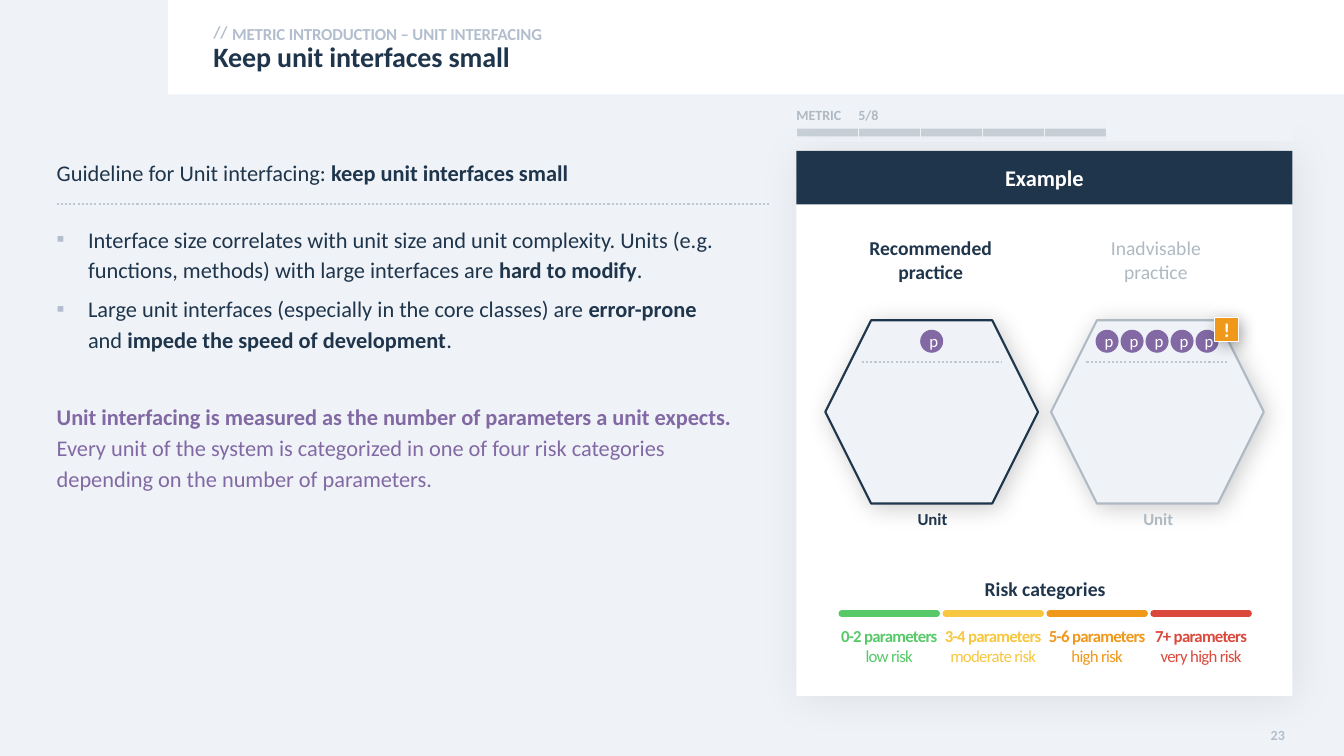
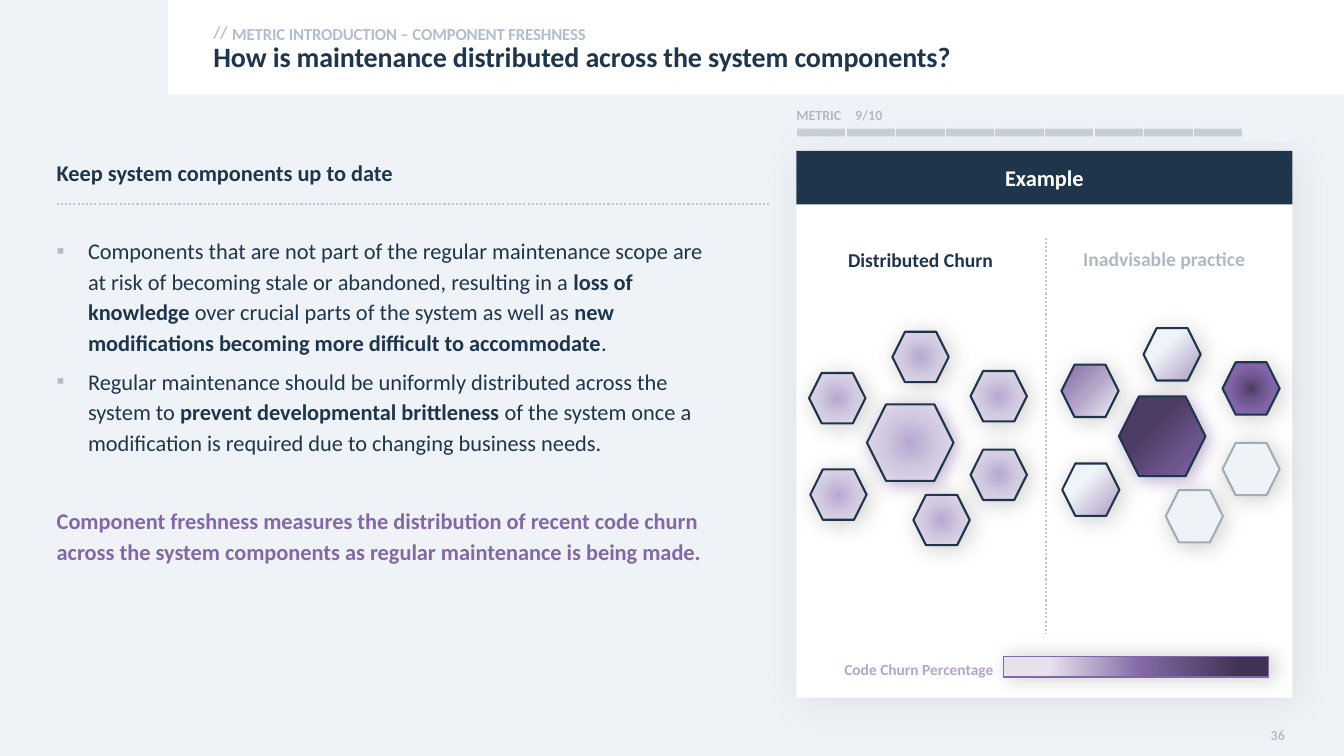
from pptx import Presentation
from pptx.dml.color import RGBColor
from pptx.enum.dml import MSO_LINE
from pptx.enum.shapes import MSO_CONNECTOR, MSO_SHAPE
from pptx.enum.text import MSO_ANCHOR, PP_ALIGN
from pptx.oxml import parse_xml
from pptx.oxml.ns import nsdecls
from pptx.oxml.xmlchemy import OxmlElement
from pptx.util import Cm, Pt

# Shared style
FONT = "Calibri"
NAVY, WHITE, PALE = "1F354B", "FFFFFF", "EFF3F8"
MUTED, EYEBROW, DOTS, BULLET = "AFB9C2", "B2BECD", "C0C7CF", "B3BDCD"
PURPLE, LILAC, ORANGE = "8269A4", "B4A5C8", "EF981A"
CARD_LEFT, CARD_WIDTH, CARD_TOP, CARD_HEIGHT = 20.07, 12.5, 3.8, 13.74

# Shadows: colour, opacity %, blur pt, distance pt, angle
CARD_SHADOW = ("000000", 7, 30, 3, 45)
UNIT_SHADOW = ("000000", 20, 17, 3, 45)
CORE_SHADOW = (PURPLE, 55, 13, 3, 45)
ALERT_SHADOW = ("000000", 30, 11, 3, 45)
LEGEND_SHADOW = ("000000", 22, 15, 3, 0)

# Gradients: stops, angle (None for circular)
EVEN_CHURN = ([(0, "B7A8D1"), (50, "D2CAE1"), (100, "E9E5F0")], None)
HIGH_CHURN = ([(0, "4D3C64"), (30, "6D558E"), (58, "8165A8")], None)
MEDIUM_CHURN = ([(0, PURPLE), (50, LILAC), (100, "EFF4F9")], 45)
CORE_CHURN = ([(38, "4D3C64"), (75, "6D558E"), (100, "8165A8")], 45)
LOW_CHURN = ([(0, "4D3C64"), (8, LILAC), (64, "EFF4F9")], 225)
CHURN_SCALE = ([(11, "413354"), (48, PURPLE), (83, "E6E1ED")], 180)


def rgb(value):
    return RGBColor.from_string(value)


def format_run(run, size, color, bold=False, spacing=0):
    run.font.name, run.font.size, run.font.bold = FONT, Pt(size), bold
    run.font.color.rgb = rgb(color)
    if spacing:
        run.font._element.set("spc", str(round(spacing * 100)))


def write(frame, text, size, color, bold=False, align=PP_ALIGN.LEFT,
          anchor=MSO_ANCHOR.TOP, left_inset=0, wrap=True, spacing=0, leading=1.0):
    frame.text = text
    frame.word_wrap, frame.vertical_anchor = wrap, anchor
    frame.margin_left = Cm(left_inset)
    frame.margin_right = frame.margin_top = frame.margin_bottom = 0
    for paragraph in frame.paragraphs:
        paragraph.alignment, paragraph.line_spacing = align, leading
        for run in paragraph.runs:
            format_run(run, size, color, bold, spacing)


def add_text(slide, box, text, size, color, **style):
    label = slide.shapes.add_textbox(*map(Cm, box))
    write(label.text_frame, text, size, color, **style)
    return label.text_frame


def set_gradient(shape, stops, angle):
    stop_xml = "".join(f'<a:gs pos="{pos * 1000}"><a:srgbClr val="{color}"/></a:gs>'
                       for pos, color in stops)
    if angle is None:
        direction = ('<a:path path="circle"><a:fillToRect l="50000" t="50000" '
                     'r="50000" b="50000"/></a:path>')
    else:
        direction = f'<a:lin ang="{angle * 60000}" scaled="0"/>'
    shape.fill.background()
    no_fill = shape._element.spPr.find("{*}noFill")
    no_fill.getparent().replace(no_fill, parse_xml(
        f'<a:gradFill {nsdecls("a")} rotWithShape="1"><a:gsLst>{stop_xml}</a:gsLst>'
        f'{direction}</a:gradFill>'))


def add_shape(slide, kind, box, fill, line=None, line_width=1.5, shadow=None, alpha=None):
    """Fill is a hex colour or a gradient (stops, angle)."""
    shape = slide.shapes.add_shape(kind, *map(Cm, box))
    if isinstance(fill, str):
        shape.fill.solid()
        shape.fill.fore_color.rgb = rgb(fill)
        if alpha:
            fill_color = shape._element.spPr.find("{*}solidFill")[0]
            fill_color.append(parse_xml(f'<a:alpha {nsdecls("a")} val="{alpha * 1000}"/>'))
    else:
        set_gradient(shape, *fill)
    if line:
        shape.line.color.rgb = rgb(line)
        shape.line.width = Pt(line_width)
    else:
        shape.line.fill.background()
    shape.shadow.inherit = False
    if shadow:
        color, opacity, blur, distance, angle = shadow
        shape._element.spPr.find("{*}effectLst").append(parse_xml(
            f'<a:outerShdw {nsdecls("a")} blurRad="{Pt(blur)}" dist="{Pt(distance)}" '
            f'dir="{angle * 60000}" algn="ctr" rotWithShape="0"><a:srgbClr val="{color}">'
            f'<a:alpha val="{opacity * 1000}"/></a:srgbClr></a:outerShdw>'))
    return shape


def add_line(slide, start, end, color=DOTS, width=1.5, dotted=True):
    rule = slide.shapes.add_connector(MSO_CONNECTOR.STRAIGHT, *map(Cm, start + end))
    rule.line.color.rgb = rgb(color)
    rule.line.width = Pt(width)
    if dotted:
        rule.line.dash_style = MSO_LINE.ROUND_DOT
    else:
        rule.line._ln.set("cap", "rnd")
    rule._element.spPr.append(OxmlElement("a:effectLst"))


def add_body(slide, width, paragraphs):
    """Each paragraph: text with **bold** parts, colour, bulleted, space after."""
    frame = add_text(slide, (1.43, 3.91, width, 13.5), "", 16, NAVY)
    for index, (text, color, bulleted, space_after) in enumerate(paragraphs):
        paragraph = frame.add_paragraph() if index else frame.paragraphs[0]
        paragraph.line_spacing, paragraph.space_after = 1.14, Pt(space_after)
        if bulleted:
            props = paragraph._p.get_or_add_pPr()
            props.set("marL", str(Cm(0.79)))
            props.set("indent", str(-Cm(0.79)))
            for bullet_part in (f'<a:buClr {nsdecls("a")}><a:srgbClr val="{BULLET}"/></a:buClr>',
                                f'<a:buFont {nsdecls("a")} typeface="{FONT}"/>',
                                f'<a:buChar {nsdecls("a")} char="▪"/>'):
                props.append(parse_xml(bullet_part))
        for part, words in enumerate(text.split("**")):
            if words:
                run = paragraph.add_run()
                run.text = words
                format_run(run, 16, color, bold=part % 2 == 1)


def style_step(cell, fill):
    cell.margin_left = cell.margin_right = cell.margin_top = cell.margin_bottom = 0
    if fill:
        cell.fill.solid()
        cell.fill.fore_color.rgb = rgb(fill)
    else:
        cell.fill.background()
    for position, edge in enumerate("LRTB"):
        cell._tc.get_or_add_tcPr().insert(position, parse_xml(
            f'<a:ln{edge} {nsdecls("a")} w="12700"><a:solidFill><a:srgbClr val="{PALE}"/>'
            f'</a:solidFill></a:ln{edge}>'))
    end_style = OxmlElement("a:endParaRPr")
    end_style.set("sz", "1000")
    cell.text_frame.paragraphs[0]._p.append(end_style)


def add_progress(slide, done, total, rows=1, count_inset=0):
    add_shape(slide, MSO_SHAPE.RECTANGLE, (CARD_LEFT, 3.24, CARD_WIDTH, 0.2), MUTED, alpha=60)
    table = slide.shapes.add_table(rows, total, *map(Cm, (CARD_LEFT, 2.71, CARD_WIDTH, 0.84))).table
    table.first_row = table.horz_banding = False
    for step in range(total):
        table.columns[step].width = Cm(CARD_WIDTH / total)
        for row in range(rows):
            covers_bar = row == rows - 1 and step >= done
            style_step(table.cell(row, step), PALE if covers_bar else None)
    for step, text in enumerate(["METRIC", f"{done}/{total}"]):
        label = table.cell(0, step).text_frame.paragraphs[0]
        label.text = text
        format_run(label.runs[0], 10, MUTED, bold=True)
    table.cell(0, 1).margin_left = Cm(count_inset)
    if rows > 1:
        table.cell(0, 1).merge(table.cell(0, 2))


def add_frame(prs, topic, title, page, card_top=CARD_TOP):
    """Background, title band, example card and page number."""
    slide = prs.slides.add_slide(prs.slide_layouts[6])
    slide.background.fill.solid()
    slide.background.fill.fore_color.rgb = rgb(PALE)
    add_shape(slide, MSO_SHAPE.RECTANGLE, (4.24, 0, 29.63, 2.38), WHITE)
    add_text(slide, (5.38, 0.41, 0.5, 0.76), "//", 12, EYEBROW, bold=True,
             anchor=MSO_ANCHOR.MIDDLE, wrap=False, spacing=-0.1)
    add_text(slide, (5.85, 0.53, 26.77, 0.61), f"METRIC INTRODUCTION – {topic}", 12, EYEBROW,
             bold=True, spacing=-0.1, leading=1.14)
    add_text(slide, (5.38, 1.09, 27.25, 0.79), title, 20, NAVY, bold=True,
             spacing=-0.1, leading=0.9)
    add_shape(slide, MSO_SHAPE.RECTANGLE, (CARD_LEFT, card_top, CARD_WIDTH, CARD_HEIGHT),
              WHITE, shadow=CARD_SHADOW)
    header = add_shape(slide, MSO_SHAPE.RECTANGLE, (CARD_LEFT, CARD_TOP, CARD_WIDTH, 1.35), NAVY)
    write(header.text_frame, "Example", 16, WHITE, bold=True, align=PP_ALIGN.CENTER,
          anchor=MSO_ANCHOR.MIDDLE)
    add_line(slide, (19.39, 5.15), (1.43, 5.15))
    add_text(slide, (31, 18.19, 1.38, 0.66), page, 10, EYEBROW, bold=True,
             align=PP_ALIGN.RIGHT, anchor=MSO_ANCHOR.MIDDLE, spacing=0.1)
    return slide


def add_caption(slide, left, top, width, text, size, color, bold=True):
    add_text(slide, (left, top, width, 0.99), text, size, color, bold=bold,
             align=PP_ALIGN.CENTER)


def add_hexagon(slide, box, fill, outline=NAVY, shadow=UNIT_SHADOW):
    add_shape(slide, MSO_SHAPE.HEXAGON, box, fill, outline, shadow=shadow)


def add_unit(slide, left, color, divider_left, first_parameter, count):
    add_hexagon(slide, (left, 8.07, 5.36, 4.62), PALE, color)
    add_caption(slide, left + 1.34, 12.83, 2.72, "Unit", 12, color)
    add_line(slide, (divider_left, 9.13), (divider_left + 3.53, 9.13))
    for index in range(count):
        parameter = add_shape(slide, MSO_SHAPE.OVAL,
                              (first_parameter + 0.63 * index, 8.31, 0.58, 0.58), PURPLE)
        write(parameter.text_frame, "p", 12, WHITE, align=PP_ALIGN.CENTER,
              anchor=MSO_ANCHOR.MIDDLE, left_inset=0.1, wrap=False)


def add_risk_scale(slide):
    add_caption(slide, 21.21, 14.53, 10.26, "Risk categories", 14, NAVY)
    categories = [("0-2 parameters", "low risk", "57C968"),
                  ("3-4 parameters", "moderate risk", "F8C740"),
                  ("5-6 parameters", "high risk", ORANGE),
                  ("7+ parameters", "very high risk", "DB493D")]
    for index, (limit, risk, color) in enumerate(categories):
        left = 21.21 + 2.62 * index
        add_line(slide, (left, 15.46), (left + 2.4, 15.46), color, 4.5, dotted=False)
        label = add_text(slide, (left - 0.1, 15.77, 2.6, 1.25), f"{limit}\n{risk}", 12, color,
                         bold=True, align=PP_ALIGN.CENTER, wrap=False, spacing=-0.5)
        label.paragraphs[1].runs[0].font.bold = False


def build_interfacing(prs):
    slide = add_frame(prs, "UNIT INTERFACING", "Keep unit interfaces small", "23")
    add_progress(slide, 5, 8)
    add_body(slide, 17.07, [
        ("Guideline for Unit interfacing: **keep unit interfaces small**", NAVY, False, 26),
        ("Interface size correlates with unit size and unit complexity. Units (e.g. functions, "
         "methods) with large interfaces are **hard to modify**.", NAVY, True, 6),
        ("Large unit interfaces (especially in the core classes) are **error-prone** and "
         "**impede the speed of development**.", NAVY, True, 33.5),
        ("**Unit interfacing is measured as the number of parameters a unit expects. **Every unit "
         "of the system is categorized in one of four risk categories depending on the number "
         "of parameters.", PURPLE, False, 6)])
    # Good and bad unit
    add_caption(slide, 20.98, 5.95, 4.95, "Recommended\vpractice", 14, NAVY)
    add_caption(slide, 26.97, 5.95, 4.32, "Inadvisable\vpractice", 14, MUTED, bold=False)
    add_unit(slide, 20.8, NAVY, 21.72, 23.19, 1)
    add_unit(slide, 26.49, MUTED, 27.38, 27.61, 5)
    alert = add_shape(slide, MSO_SHAPE.RECTANGLE, (30.61, 8, 0.61, 0.61), ORANGE, WHITE, 1,
                      ALERT_SHADOW)
    write(alert.text_frame, "!", 14, WHITE, bold=True, align=PP_ALIGN.CENTER)
    add_risk_scale(slide)


def build_freshness(prs):
    slide = add_frame(prs, "COMPONENT FRESHNESS",
                      "How is maintenance distributed across the system components?", "36", 3.84)
    add_progress(slide, 9, 10, rows=2, count_inset=0.23)
    add_body(slide, 16.81, [
        ("**Keep system components up to date**", NAVY, False, 34),
        ("Components that are not part of the regular maintenance scope are at risk of becoming "
         "stale or abandoned, resulting in a **loss of knowledge** over crucial parts of the "
         "system as well as **new modifications becoming more difficult to accommodate**.",
         NAVY, True, 6),
        ("Regular maintenance should be uniformly distributed across the system to **prevent "
         "developmental brittleness **of the system once a modification is required due to "
         "changing business needs.", NAVY, True, 34),
        ("**Component freshness measures the distribution of recent code churn across the system "
         "components as regular maintenance is being made.**", PURPLE, False, 6)])
    add_caption(slide, 21.04, 6.24, 4.32, "Distributed Churn", 14, NAVY)
    add_caption(slide, 27.18, 6.22, 4.32, "Inadvisable practice", 14, MUTED)
    add_line(slide, (26.37, 5.99), (26.37, 15.97))
    # Evenly maintained components
    for left, top in [(24.46, 9.35), (20.39, 9.4), (20.42, 11.83), (24.46, 11.33),
                      (23.02, 12.47), (22.49, 8.36)]:
        add_hexagon(slide, (left, top, 1.42, 1.27), EVEN_CHURN)
    add_hexagon(slide, (21.85, 10.19, 2.18, 1.93), EVEN_CHURN, shadow=CORE_SHADOW)
    # Unevenly maintained components
    for left, top, churn, outline in [
            (30.81, 9.13, HIGH_CHURN, NAVY), (26.75, 9.19, MEDIUM_CHURN, NAVY),
            (26.77, 11.68, LOW_CHURN, NAVY), (28.82, 8.27, LOW_CHURN, NAVY),
            (30.81, 11.16, PALE, "A1ACB7"), (29.38, 12.35, PALE, "A1ACB7")]:
        add_hexagon(slide, (left, top, 1.44, 1.32), churn, outline)
    add_hexagon(slide, (28.2, 9.99, 2.18, 2.01), CORE_CHURN, shadow=CORE_SHADOW)
    # Legend
    add_text(slide, (20.5, 16.58, 4.54, 0.5), "Code Churn Percentage", 11, LILAC, bold=True,
             align=PP_ALIGN.RIGHT, leading=1.13)
    add_shape(slide, MSO_SHAPE.RECTANGLE, (25.29, 16.55, 6.68, 0.51), CHURN_SCALE, PURPLE, 1,
              LEGEND_SHADOW)


def main():
    prs = Presentation()
    prs.slide_width, prs.slide_height = Cm(33.87), Cm(19.05)
    build_interfacing(prs)
    build_freshness(prs)
    prs.save("out.pptx")


if __name__ == "__main__":
    main()
